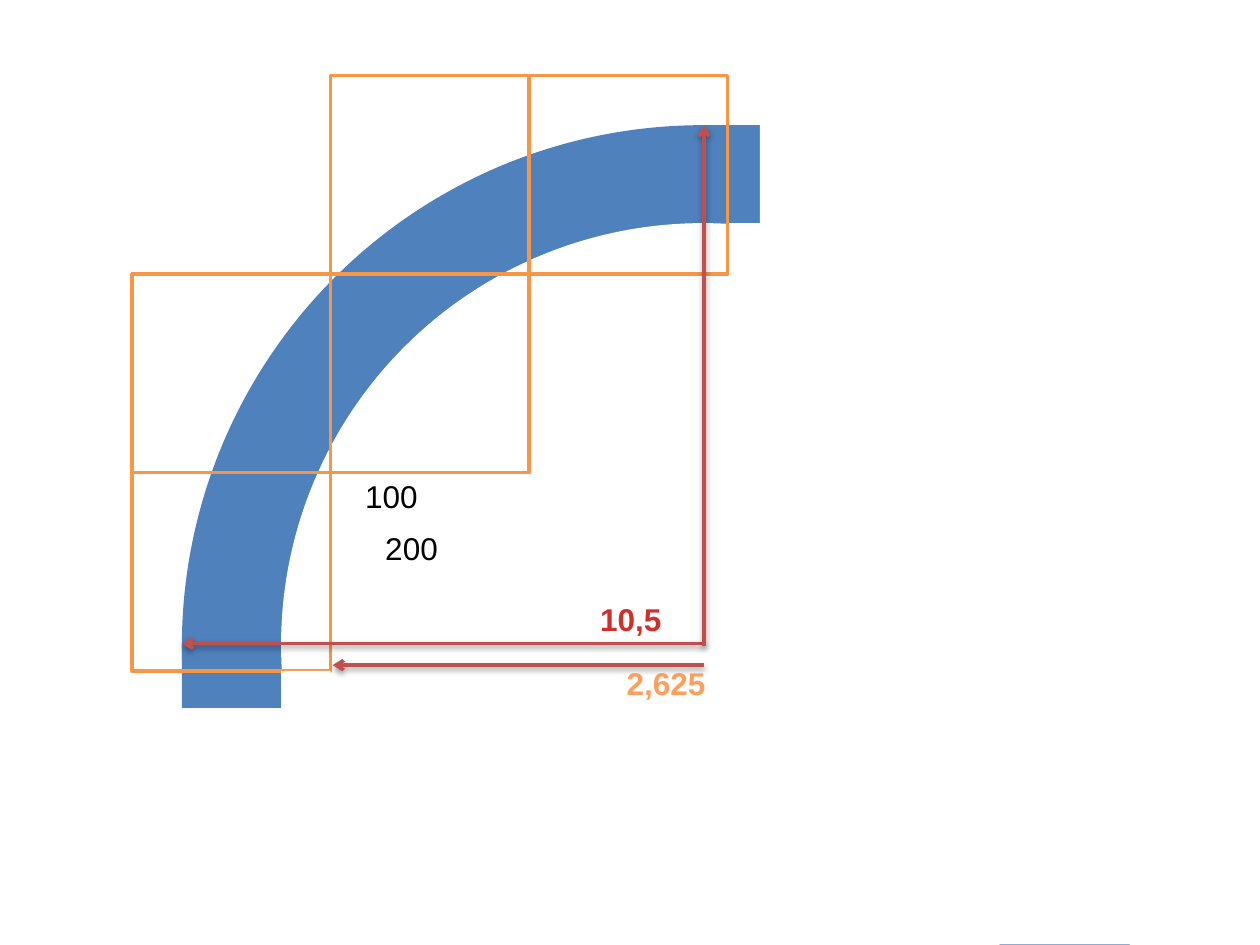
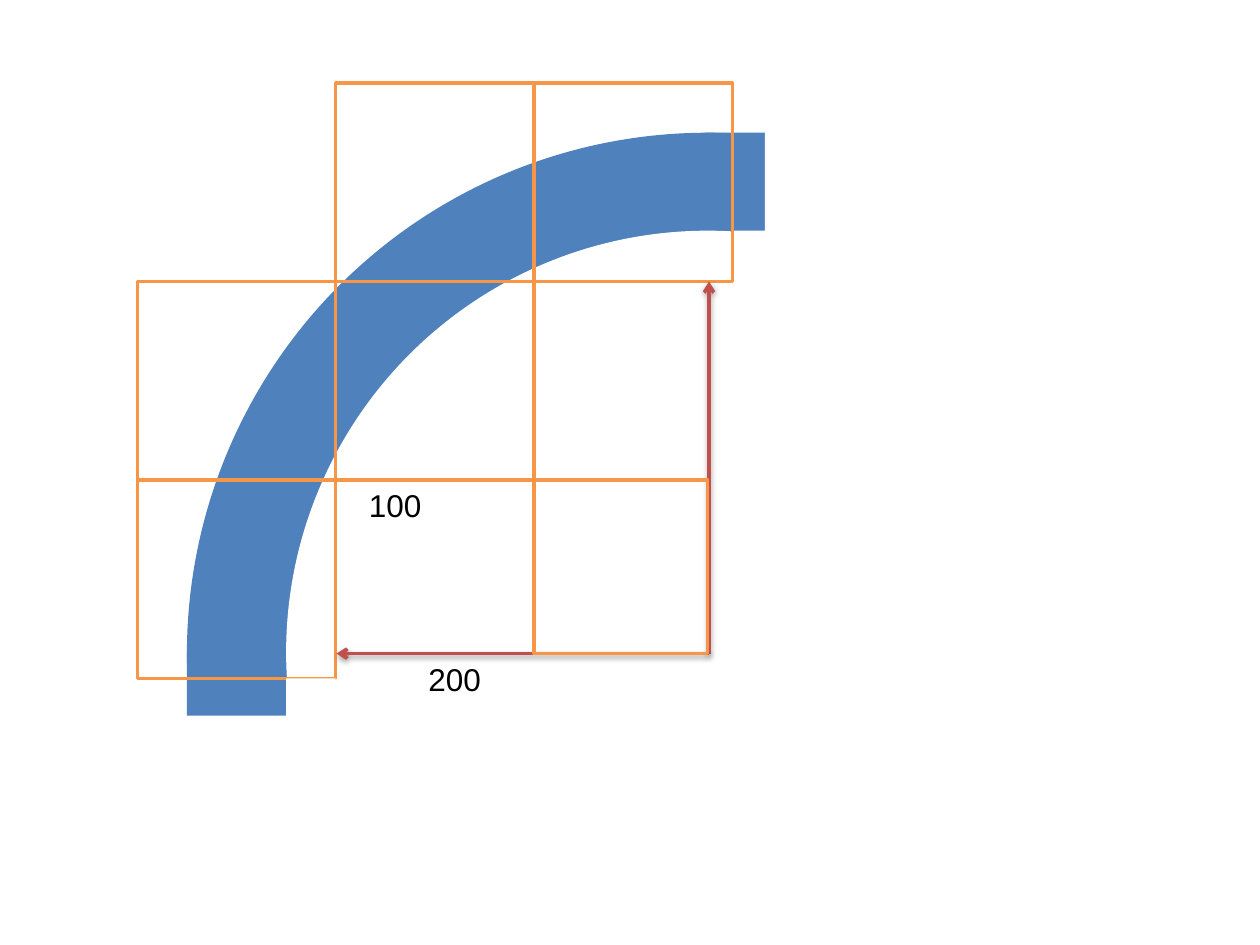
"""Draw a curved road over a grid of square tiles, with its radii, on two slides."""
import dataclasses
import typing

import lxml.etree
import pptx
import pptx.dml.color
import pptx.enum.shapes
import pptx.enum.text
import pptx.oxml
import pptx.oxml.ns
import pptx.util

RGB = pptx.dml.color.RGBColor.from_string
SHAPE = pptx.enum.shapes.MSO_SHAPE
ALIGN = pptx.enum.text.PP_ALIGN
UNIT = pptx.util.Mm(5)
TILE = 8
ROAD = 4
OUTER = 42
INNER = OUTER - 2 * ROAD
HUB = 23.05


@dataclasses.dataclass(frozen=True)
class Theme:
    """Colours and type sizes that the slides share."""
    road: str = "4F81BD"
    mask: str = "FFFFFF"
    tile: str = "F79646"
    arrow: str = "C0504D"
    text: str = "000000"
    reach: str = "D02F2C"
    inset: str = "FF9F5D"
    font: str = "Arial"
    size: int = 18
    line: int = 2


THEME = Theme()


class Block(typing.NamedTuple):
    """A filled or outlined shape, in grid units."""
    col: float
    row: float
    wide: float
    high: float
    fill: str = ""
    form: SHAPE = SHAPE.RECTANGLE


class Arrow(typing.NamedTuple):
    """A straight arrow between two grid points."""
    col: float
    row: float
    tocol: float
    torow: float


class Note(typing.NamedTuple):
    """A short label, in grid units."""
    text: str
    col: float
    row: float
    wide: float = 4.78
    tint: str = THEME.text
    bold: bool = False
    align: ALIGN = ALIGN.LEFT


class Scene(typing.NamedTuple):
    """What one slide adds to the road, and where its grid begins."""
    left: float
    top: float
    arrows: tuple
    notes: tuple
    blocks: tuple = ()


def tile(col: int, row: int, side: float = TILE) -> Block:
    """Return the outlined square at a tile column and row."""
    return Block(col * TILE, row * TILE, side, side)


CURVE = (
    Block(2, 2, OUTER, OUTER, THEME.road, SHAPE.OVAL),
    tile(0, 1),
    tile(1, 0),
    Block(2, 22.9, ROAD, TILE, THEME.road),
    Block(22.9, 2, TILE, ROAD, THEME.road),
    Block(6, 5.95, INNER, INNER, THEME.mask, SHAPE.OVAL),
    Block(24, 5.95, 2 * TILE, TILE, THEME.mask),
    tile(1, 1),
    tile(2, 0),
    tile(0, 2),
    Block(25.3, 1.93, 20.15, 33.1, THEME.mask),
    Block(0.2, 25.5, 13.45, 9.55, THEME.mask),
    Block(6, 24, 2, 11.05, THEME.mask),
)

SCENES = (
    Scene(
        1.05, 0.6,
        (Arrow(HUB, 22.9, 2, 22.9), Arrow(HUB, 23, HUB, 2), Arrow(HUB, 23.77, 8.08, 23.77)),
        (Note("10,5", 18.14, 20.88, 3.91, THEME.reach, True, ALIGN.CENTER),
         Note("2,625", 19, 23.47, 5.03, THEME.inset, True, ALIGN.CENTER),
         Note("100", 8.89, 15.95),
         Note("200", 9.7, 18.03)),
    ),
    Scene(
        1.09, 0.66,
        (Arrow(HUB, 23, HUB, 8), Arrow(HUB, 23, 8.03, 23)),
        (Note("100", 8.84, 16), Note("200", 11.23, 23)),
        (tile(2, 2, 7),),
    ),
)


def place(scene: Scene, col: float, row: float) -> tuple[int, int]:
    """Turn a grid point into slide lengths."""
    return (pptx.util.Inches(scene.left) + round(col * UNIT),
            pptx.util.Inches(scene.top) + round(row * UNIT))


def format(item: typing.Any, values: dict) -> None:
    """Set each named value on an item."""
    for name, value in values.items():
        setattr(item, name, value)


def stroke(line: typing.Any, tint: str) -> None:
    """Give a line its colour and width."""
    line.color.rgb = RGB(tint)
    line.width = pptx.util.Pt(THEME.line)


def draw_block(slide: typing.Any, scene: Scene, block: Block) -> None:
    """Draw a filled shape, or an outlined one if it has no fill."""
    shape = slide.shapes.add_shape(
        block.form, *place(scene, block.col, block.row),
        round(block.wide * UNIT), round(block.high * UNIT))
    shape.shadow.inherit = False
    if block.fill:
        shape.fill.solid()
        shape.fill.fore_color.rgb = RGB(block.fill)
        shape.line.fill.background()
    else:
        shape.fill.background()
        stroke(shape.line, THEME.tile)


def draw_arrow(slide: typing.Any, scene: Scene, arrow: Arrow) -> None:
    """Draw an arrow with an open head and a soft shadow."""
    link = slide.shapes.add_connector(
        pptx.enum.shapes.MSO_CONNECTOR.STRAIGHT,
        *place(scene, arrow.col, arrow.row), *place(scene, arrow.tocol, arrow.torow))
    stroke(link.line, THEME.arrow)
    tag = pptx.oxml.ns.qn
    lxml.etree.SubElement(link.line._get_or_add_ln(), tag("a:tailEnd"), type="arrow")
    effect = lxml.etree.SubElement(link._element.spPr, tag("a:effectLst"))
    shadow = lxml.etree.SubElement(
        effect, tag("a:outerShdw"), blurRad=str(pptx.util.Pt(3.1)),
        dist=str(pptx.util.Pt(1.6)), dir="5400000", rotWithShape="0")
    black = lxml.etree.SubElement(shadow, tag("a:srgbClr"), val=THEME.text)
    lxml.etree.SubElement(black, tag("a:alpha"), val="38000")


def draw_note(slide: typing.Any, scene: Scene, note: Note) -> None:
    """Write a label."""
    frame = slide.shapes.add_textbox(
        *place(scene, note.col, note.row),
        round(note.wide * UNIT), round(2.03 * UNIT)).text_frame
    format(frame, {"word_wrap": True,
                   "auto_size": pptx.enum.text.MSO_AUTO_SIZE.SHAPE_TO_FIT_TEXT})
    line = frame.paragraphs[0]
    line.alignment = note.align
    run = line.add_run()
    run.text = note.text
    format(run.font, {"name": THEME.font, "size": pptx.util.Pt(THEME.size),
                      "bold": note.bold})
    run.font.color.rgb = RGB(note.tint)


def main() -> None:
    """Build and save the slides."""
    deck = pptx.Presentation()
    format(deck, {"slide_width": pptx.util.Inches(10),
                  "slide_height": pptx.util.Inches(7.5)})
    for scene in SCENES:
        slide = deck.slides.add_slide(deck.slide_layouts[6])
        for draw, items in ((draw_block, CURVE), (draw_arrow, scene.arrows),
                            (draw_note, scene.notes), (draw_block, scene.blocks)):
            for item in items:
                draw(slide, scene, item)
    deck.save("out.pptx")


if __name__ == "__main__":
    main()
